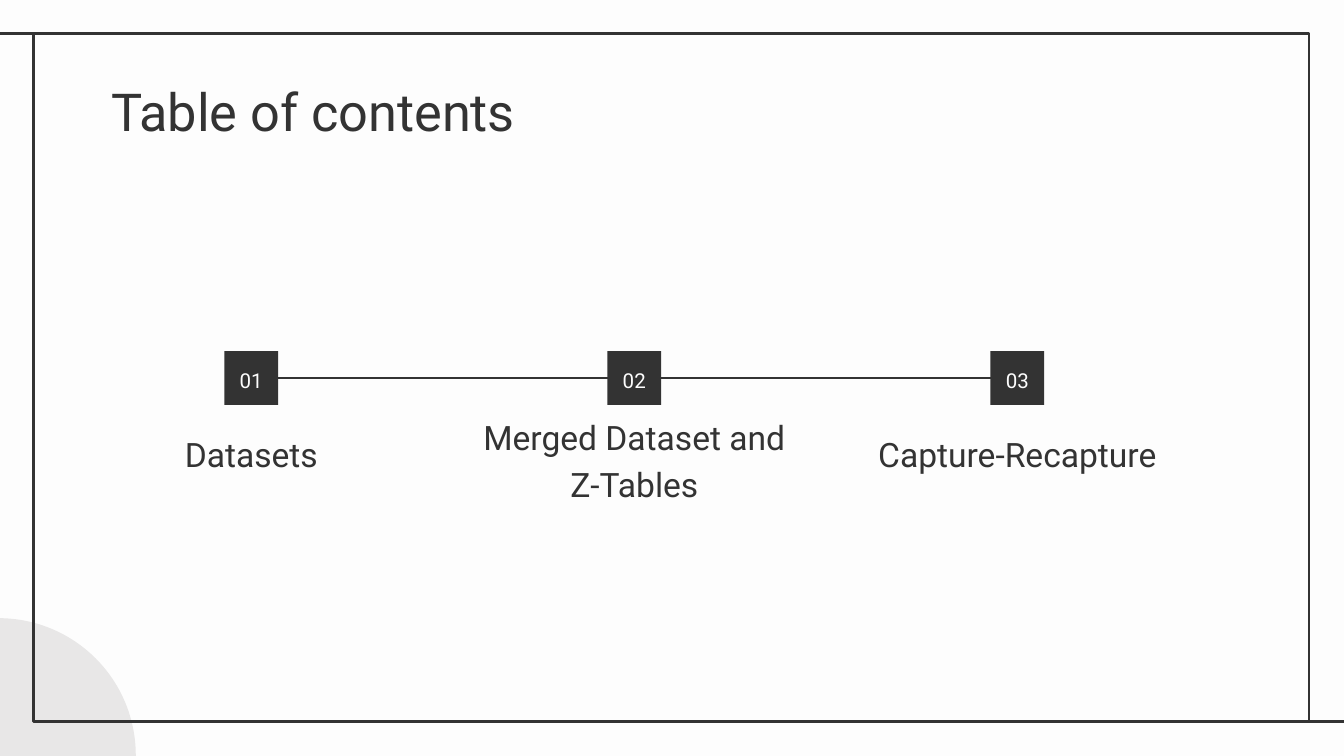
from pptx import Presentation
from pptx.dml.color import RGBColor
from pptx.enum.shapes import MSO_CONNECTOR, MSO_SHAPE
from pptx.enum.text import MSO_ANCHOR, PP_ALIGN
from pptx.oxml.ns import qn
from pptx.util import Inches, Pt
from lxml.etree import SubElement

# Content: number, heading, lines the heading takes up
TITLE = "Table of contents"
SECTIONS = [
    ("01", "Datasets", 1),
    ("02", "Merged Dataset and Z-Tables", 2),
    ("03", "Capture-Recapture", 1),
]

INK = RGBColor(0x33, 0x33, 0x33)
PAPER = RGBColor(0xFD, 0xFD, 0xFD)
PALE = RGBColor(0xE8, 0xE7, 0xE7)
FONT = "Roboto"

# Layout, in inches
WIDTH = 10
HEIGHT = WIDTH * 9 / 16
FRAME_X, FRAME_Y, FRAME_W, FRAME_H = 0.25, 0.25, 9.49, 5.12
CIRCLE_X, CIRCLE_Y, CIRCLE = -1.03, 4.6, 2.04
FIRST_CENTER, COLUMN_STEP = 1.87, 2.85
TIMELINE_Y, MARKER = HEIGHT / 2, 0.4
HEADING_W, HEADING_H, HEADING_Y = 2.52, 0.42, 3.21
EXTRA_LINE = 0.22

deck = Presentation()
deck.slide_width, deck.slide_height = Inches(WIDTH), Inches(HEIGHT)
slide = deck.slides.add_slide(deck.slide_layouts[6])
slide.background.fill.solid()
slide.background.fill.fore_color.rgb = PAPER


def add_block(kind, x, y, w, h, fill=None):
    block = slide.shapes.add_shape(kind, Inches(x), Inches(y), Inches(w), Inches(h))
    block.shadow.inherit = False
    if fill is None:
        block.fill.background()
        block.line.color.rgb = INK
        block.line.width = Pt(1.5)
    else:
        block.fill.solid()
        block.fill.fore_color.rgb = fill
        block.line.fill.background()
    return block


def add_rule(x1, x2, y):
    rule = slide.shapes.add_connector(
        MSO_CONNECTOR.STRAIGHT, Inches(x1), Inches(y), Inches(x2), Inches(y))
    rule.line.color.rgb = INK
    rule.line.width = Pt(1.5)
    SubElement(rule._element.spPr, qn("a:effectLst"))


def write(holder, text, size, color, anchor, align=PP_ALIGN.CENTER, spacing=1.15):
    frame = holder.text_frame
    frame.word_wrap = True
    frame.vertical_anchor = anchor
    frame.margin_left = frame.margin_right = Inches(0.1)
    frame.margin_top = frame.margin_bottom = Inches(0.1)
    paragraph = frame.paragraphs[0]
    paragraph.text = text
    paragraph.alignment = align
    paragraph.line_spacing = spacing
    paragraph.font.name = FONT
    paragraph.font.size = Pt(size)
    paragraph.font.color.rgb = color


def add_text(x, y, w, h, *style):
    box = slide.shapes.add_textbox(Inches(x), Inches(y), Inches(w), Inches(h))
    write(box, *style)


# Corner circle and frame with its two overhanging rules
add_block(MSO_SHAPE.OVAL, CIRCLE_X, CIRCLE_Y, CIRCLE, CIRCLE, PALE)
add_block(MSO_SHAPE.RECTANGLE, FRAME_X, FRAME_Y, FRAME_W, FRAME_H)
add_rule(FRAME_X, 0, FRAME_Y)
add_rule(WIDTH, FRAME_X + FRAME_W, FRAME_Y + FRAME_H)

# Timeline behind the markers
last_center = FIRST_CENTER + COLUMN_STEP * (len(SECTIONS) - 1)
add_rule(FIRST_CENTER + MARKER / 2, last_center, TIMELINE_Y)

# Title
add_text(0.73, 0.49, 8.43, 0.63, TITLE, 28, INK, MSO_ANCHOR.TOP, PP_ALIGN.LEFT, 1.0)

# Numbered markers and headings
for column, (number, heading, lines) in enumerate(SECTIONS):
    center = FIRST_CENTER + column * COLUMN_STEP
    marker = add_block(MSO_SHAPE.RECTANGLE, center - MARKER / 2,
                       TIMELINE_Y - MARKER / 2, MARKER, MARKER, INK)
    write(marker, number, 11, PAPER, MSO_ANCHOR.MIDDLE)
    add_text(center - HEADING_W / 2, HEADING_Y + (lines - 1) * EXTRA_LINE,
             HEADING_W, HEADING_H, heading, 18, INK, MSO_ANCHOR.BOTTOM)

deck.save("out.pptx")
